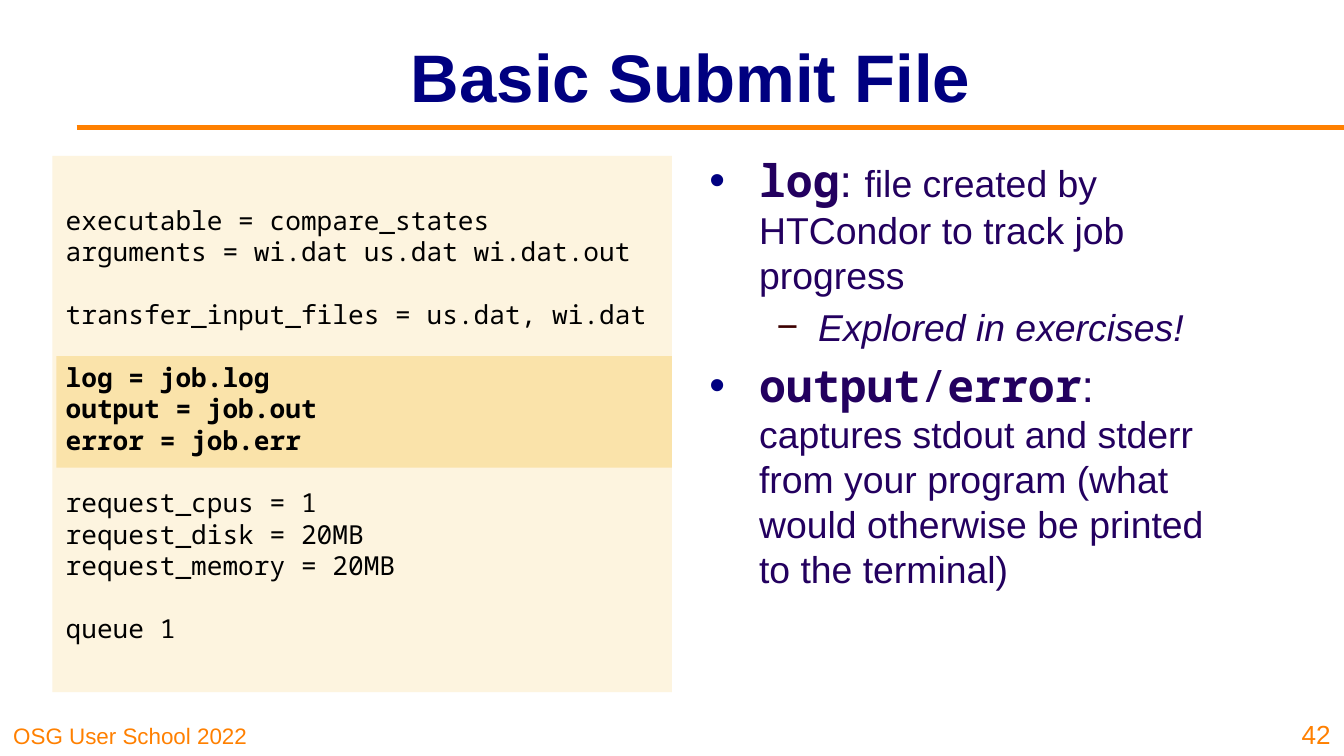
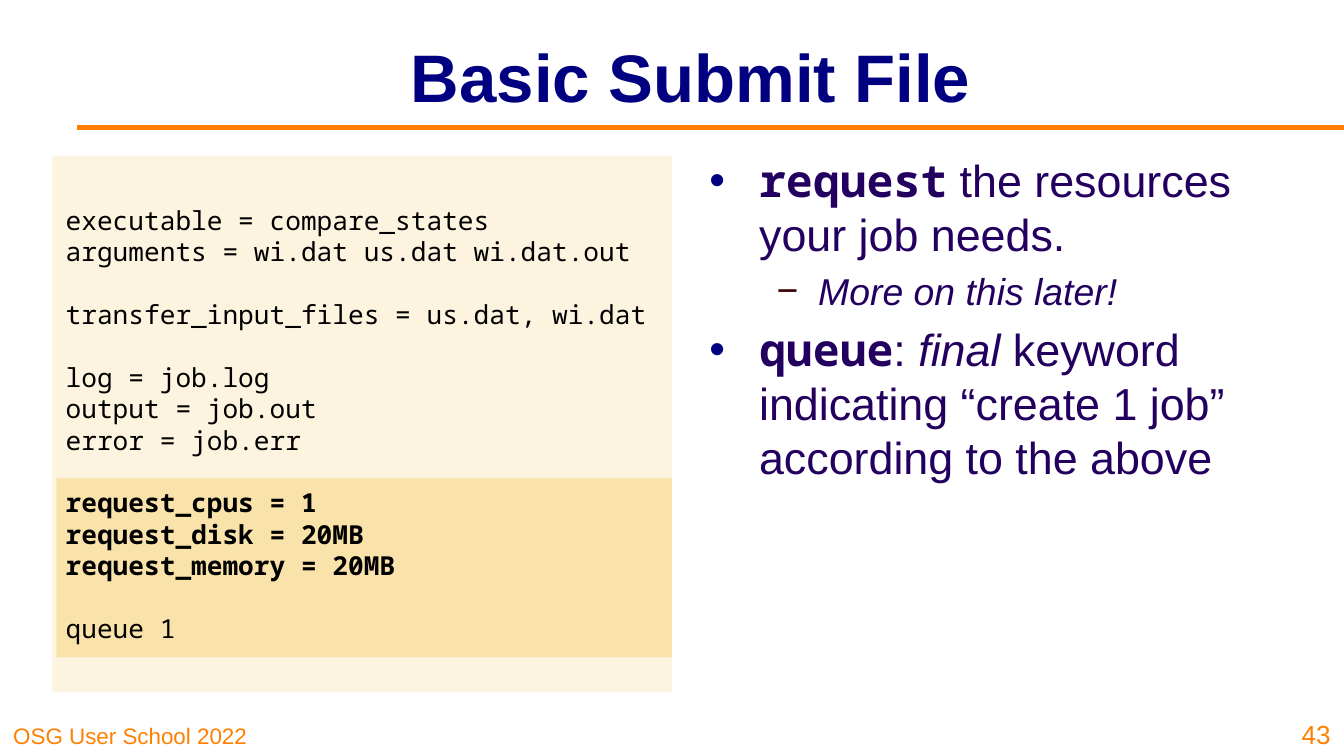
from lxml import etree
from pptx import Presentation
from pptx import util as u
from pptx.dml.color import RGBColor
from pptx.enum import shapes, text
from pptx.oxml import ns

# Shared style
SLIDE_WIDTH = 10
SLIDE_HEIGHT = SLIDE_WIDTH * 9 / 16
SANS, MONO = "Arial", "Noto Sans Mono"
NAVY, ORANGE, PURPLE, MAROON = "000080", "FF8000", "23005F", "3C0000"
BLACK, CREAM, AMBER = "000000", "FDF4DF", "FAE3AA"
CODE_BOX = (0.39, 1.16, 4.61, 3.99)
CODE_SIZE, CODE_PITCH = 14, 16.8

# Submit file, one list per group of lines
SUBMIT_FILE = [
    ["executable = compare_states", "arguments = wi.dat us.dat wi.dat.out"],
    ["transfer_input_files = us.dat, wi.dat"],
    ["log = job.log", "output = job.out", "error = job.err"],
    ["request_cpus = 1", "request_disk = 20MB", "request_memory = 20MB"],
    ["queue 1"],
]

# Bullet levels: left indent, hanging indent, mark, mark colour, space before
LEVELS = [(0.37, 0.37, "•", NAVY, 4.8), (0.81, 0.31, "−", MAROON, 4)]

# Per slide: number, highlight top and height, bold group, bullets.
# A bullet is (level, runs); a run is (text, size, style), style from "m" mono, "b" bold, "i" italic
SLIDES = [
    (42, 2.65, 0.83, 2, [
        (0, [("log", 24, "mb"), (": ", 24, ""),
             ("file created by HTCondor to track job progress", 20, "")]),
        (1, [("Explored in exercises!", 20, "i")]),
        (0, [("output", 24, "mb"), ("/", 24, "m"), ("error", 24, "mb"), (": ", 24, ""),
             ("captures stdout and stderr from your program "
              "(what would otherwise be printed to the terminal)", 20, "")]),
    ]),
    (43, 3.56, 1.33, 3, [
        (0, [("request", 24, "mb"), (" the resources your job needs.", 24, "")]),
        (1, [("More on this later!", 20, "i")]),
        (0, [("queue", 24, "mb"), (": ", 24, ""), ("final", 24, "i"),
             (" keyword indicating “create 1 job” according to the above", 24, "")]),
    ]),
]


def rgb(value):
    return RGBColor.from_string(value)


def inches(values):
    return [u.Inches(value) for value in values]


def style_font(font, size, color, name=SANS, bold=False, italic=False):
    font.size, font.name = u.Pt(size), name
    font.bold, font.italic = bold, italic
    font.color.rgb = rgb(color)


def add_text_frame(slide, box, anchor=text.MSO_ANCHOR.TOP):
    frame = slide.shapes.add_textbox(*inches(box)).text_frame
    frame.word_wrap = True
    frame.vertical_anchor = anchor
    return frame


def add_label(slide, box, words, size, align=text.PP_ALIGN.LEFT):
    frame = add_text_frame(slide, box, text.MSO_ANCHOR.BOTTOM)
    frame.text = words
    paragraph = frame.paragraphs[0]
    paragraph.alignment = align
    style_font(paragraph.runs[0].font, size, ORANGE)


def add_band(slide, box, color):
    band = slide.shapes.add_shape(shapes.MSO_SHAPE.RECTANGLE, *inches(box))
    band.shadow.inherit = False
    band.fill.solid()
    band.fill.fore_color.rgb = rgb(color)
    band.line.fill.background()


def add_rule(slide):
    rule = slide.shapes.add_connector(
        shapes.MSO_CONNECTOR.STRAIGHT, *inches((0.57, 0.95, SLIDE_WIDTH, 0.95)))
    rule.line.color.rgb = rgb(ORANGE)
    rule.line.width = u.Pt(3)
    etree.SubElement(rule._element.spPr, ns.qn("a:effectLst"))


def add_title(slide, words):
    title = slide.shapes.title
    title.left, title.top, title.width, title.height = inches((1.34, 0.09, 7.6, 0.94))
    frame = title.text_frame
    frame.text = words
    frame.vertical_anchor = text.MSO_ANCHOR.MIDDLE
    paragraph = frame.paragraphs[0]
    paragraph.alignment = text.PP_ALIGN.CENTER
    style_font(paragraph.runs[0].font, 36, NAVY, bold=True)


def next_paragraph(frame, first):
    return frame.paragraphs[0] if first else frame.add_paragraph()


def add_code(slide, bold_group):
    frame = add_text_frame(slide, CODE_BOX, text.MSO_ANCHOR.MIDDLE)
    for g, group in enumerate(SUBMIT_FILE):
        for n, line in enumerate(group):
            paragraph = next_paragraph(frame, g == n == 0)
            paragraph.text = line
            paragraph.line_spacing = u.Pt(CODE_PITCH)
            if g and n == 0:
                paragraph.space_before = u.Pt(CODE_PITCH)
            style_font(paragraph.runs[0].font, CODE_SIZE, BLACK, MONO, g == bold_group)


def set_bullet(paragraph, level):
    left, hanging, mark, color, _ = LEVELS[level]
    props = paragraph._p.get_or_add_pPr()
    props.set("marL", str(u.Inches(left)))
    props.set("indent", str(-u.Inches(hanging)))
    mark_color = etree.SubElement(props, ns.qn("a:buClr"))
    etree.SubElement(mark_color, ns.qn("a:srgbClr"), val=color)
    etree.SubElement(props, ns.qn("a:buFont"), typeface=SANS)
    etree.SubElement(props, ns.qn("a:buChar"), char=mark)


def add_bullets(slide, bullets):
    frame = add_text_frame(slide, (5.18, 1.09, 4.17, 3.84))
    for n, (level, runs) in enumerate(bullets):
        paragraph = next_paragraph(frame, n == 0)
        paragraph.level = level
        set_bullet(paragraph, level)
        if n:
            paragraph.space_before = u.Pt(LEVELS[level][-1])
        for words, size, style in runs:
            run = paragraph.add_run()
            run.text = words
            style_font(run.font, size, PURPLE, MONO if "m" in style else SANS,
                       "b" in style, "i" in style)


def main():
    deck = Presentation()
    deck.slide_width, deck.slide_height = inches((SLIDE_WIDTH, SLIDE_HEIGHT))
    title_only = deck.slide_layouts[5]
    for number, highlight_top, highlight_height, bold_group, bullets in SLIDES:
        slide = deck.slides.add_slide(title_only)
        # Frame of the slide
        add_label(slide, (0, 5.31, 2.48, 0.31), "OSG User School 2022", 12)
        add_rule(slide)
        add_title(slide, "Basic Submit File")
        # Explanation and submit file
        add_bullets(slide, bullets)
        add_band(slide, CODE_BOX, CREAM)
        add_band(slide, (0.42, highlight_top, 4.58, highlight_height), AMBER)
        add_code(slide, bold_group)
        # Slide number
        add_label(slide, (9.54, 5.25, 0.46, 0.38), str(number), 14, text.PP_ALIGN.RIGHT)
    deck.save("out.pptx")


if __name__ == "__main__":
    main()
